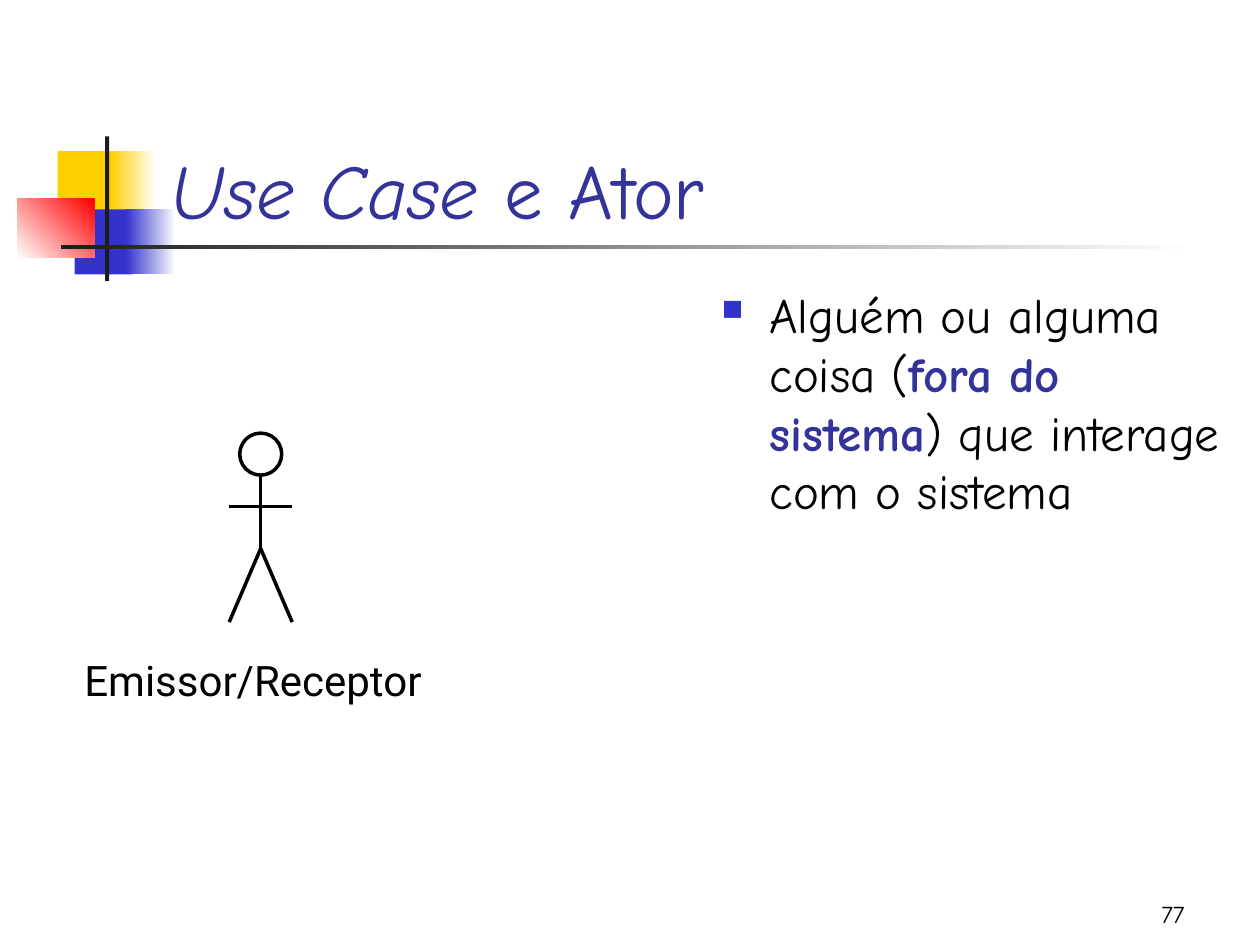
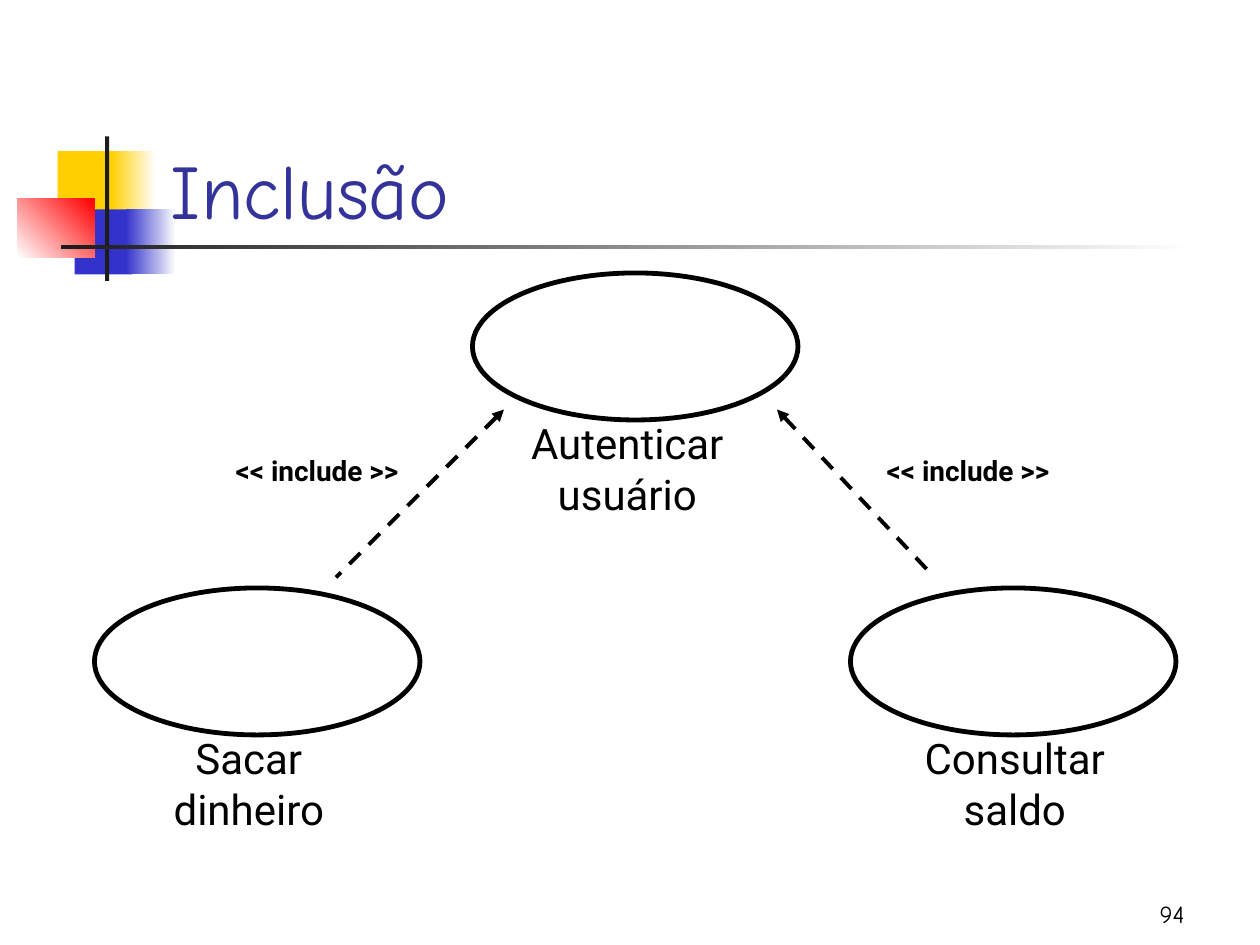
from lxml import etree
from pptx import Presentation, util as u
from pptx.dml.color import RGBColor
from pptx.enum import dml, shapes, text
from pptx.oxml.ns import qn

COLS, ROWS = 120, 90
BLACK, INK, BLUE, NAVY, GOLD, RED, WHITE = (
    "000000", "1C1C1C", "3333CC", "333399", "FFCF01", "FF0000", "FFFFFF")
HAND, SANS = "Comic Neue", "Roboto"
BANDS = [
    (5.5, 14.4, 5.8, 6.2, [GOLD], 0),
    (10.55, 14.4, 4.3, 6.2, [GOLD, WHITE], 0),
    (7.1, 19.95, 5.5, 6.2, [BLUE], 0),
    (12, 19.95, 4.75, 6.2, [BLUE, WHITE], 0),
    (1.65, 18.95, 7.35, 5.55, [WHITE, RED], 45),
    (10, 13, 0.4, 13.75, [INK], 0),
    (5.8, 23.35, 108, 0.4, [INK, WHITE], 0),
]


def paint(code):
    return RGBColor.from_string(code)


def child(node, tag, **attrs):
    return etree.SubElement(node, qn(tag), attrs)


class Deck:
    def __init__(self):
        self.file = Presentation()
        self.file.slide_width = u.Inches(10)
        self.file.slide_height = u.Inches(7.5)

    def place(self, *spots):
        steps = (self.file.slide_width / COLS, self.file.slide_height / ROWS)
        return [round(spot * steps[i % 2]) for i, spot in enumerate(spots)]

    def page(self, title, number):
        self.slide = self.file.slides.add_slide(self.file.slide_layouts[6])
        self.items = self.slide.shapes
        for band in BANDS:
            self.band(*band)
        self.words((89, 83, 25, 6), [[(number, {})]], size=14,
                   align="RIGHT", anchor="BOTTOM")
        self.words((15.1, 8, 102.25, 15), [title], size=44,
                   color=NAVY, anchor="BOTTOM")

    def shape(self, kind, box):
        item = self.items.add_shape(kind, *self.place(*box))
        item.shadow.inherit = False
        return item

    def band(self, x, y, w, h, tones, angle):
        item = self.shape(shapes.MSO_SHAPE.RECTANGLE, (x, y, w, h))
        item.line.fill.background()
        if len(tones) == 1:
            item.fill.solid()
            item.fill.fore_color.rgb = paint(tones[0])
            return
        item.fill.gradient()
        item.fill.gradient_angle = angle
        for stop, tone, spot in zip(item.fill.gradient_stops, tones, (0, 1)):
            stop.color.rgb = paint(tone)
            stop.position = spot

    def oval(self, x, y, w, h, width):
        item = self.shape(shapes.MSO_SHAPE.OVAL, (x, y, w, h))
        item.fill.background()
        item.line.color.rgb = paint(BLACK)
        item.line.width = u.Pt(width)

    def line(self, start, end, width=2, arrow=False):
        item = self.items.add_connector(
            shapes.MSO_CONNECTOR.STRAIGHT, *self.place(*start, *end))
        item.line.color.rgb = paint(BLACK)
        item.line.width = u.Pt(width)
        if arrow:
            item.line.dash_style = dml.MSO_LINE.DASH
            child(item.line._get_or_add_ln(), "a:headEnd", type="triangle")
        child(item._element.spPr, "a:effectLst")

    def words(self, box, paras, size, font=HAND, color=BLACK, align="LEFT",
              anchor="TOP", wrap=True):
        frame = self.items.add_textbox(*self.place(*box)).text_frame
        frame.word_wrap = wrap
        frame.vertical_anchor = text.MSO_ANCHOR[anchor]
        if not wrap:
            frame.auto_size = text.MSO_AUTO_SIZE.SHAPE_TO_FIT_TEXT
        frame.text = "\n".join("" for _ in paras)
        for para, runs in zip(frame.paragraphs, paras):
            para.alignment = text.PP_ALIGN[align]
            for words, style in runs:
                run = para.add_run()
                run.text = words
                run.font.name = font
                run.font.size = u.Pt(size)
                run.font.bold = style.get("bold", False)
                run.font.italic = style.get("italic", False)
                run.font.color.rgb = paint(style.get("color", color))
        return frame

    def label(self, mid, top, w, lines, size=24, bold=False, align="CENTER"):
        paras = [[(line, {"bold": bold})] for line in lines]
        high = len(lines) * size / 5
        self.words((mid - w / 2, top, w, high + 1.2), paras, size, SANS,
                   align=align, wrap=False)

    def bullet(self, box, runs):
        para = self.words(box, [runs], size=28).paragraphs[0]
        para.space_before = u.Pt(7)
        props = para._p.get_or_add_pPr()
        indent = u.Inches(0.38)
        props.set("marL", str(indent))
        props.set("indent", str(-indent))
        child(child(props, "a:buClr"), "a:srgbClr", val=BLUE)
        child(props, "a:buSzPct", val="60000")
        child(props, "a:buChar", char="■")

    def actor(self, mid, top):
        self.items = self.slide.shapes.add_group_shape().shapes
        neck, arms, hip, feet = (top + drop for drop in (4, 7, 11, 18))
        self.oval(mid - 2, top, 4, 4, 2)
        self.line((mid, hip), (mid, neck))
        for side in (-3, 3):
            self.line((mid + side, feet), (mid, hip))
        self.line((mid - 3, arms), (mid + 3, arms))
        self.items = self.slide.shapes

    def case(self, x, y, mid, w, lines):
        self.oval(x, y, 31, 14, 2.75)
        self.label(mid, y + 13.2, w, lines)

    def link(self, start, end, mid):
        self.line(start, end, 2.25, arrow=True)
        self.label(mid, 42.6, 19.6, ["<< include >>"], 16, bold=True)


def main():
    deck = Deck()
    deck.page([("Use Case", {"italic": True}), (" e Ator", {})], "77")
    deck.bullet((67.55, 26.5, 50, 54), [
        ("Alguém ou alguma coisa (", {}),
        ("fora do sistema", {"bold": True, "color": NAVY}),
        (") que interage com o sistema", {})])
    deck.actor(24.83, 41.25)
    deck.label(24.65, 61.7, 35.6, ["Emissor/Receptor"], align="LEFT")

    deck.page([("Inclusão", {})], "94")
    deck.case(9, 56, 23.7, 18.1, ["Sacar", "dinheiro"])
    deck.case(81, 56, 96.65, 20.5, ["Consultar", "saldo"])
    deck.case(45, 26, 59.75, 21.8, ["Autenticar", "usuário"])
    deck.link((48, 39), (32, 55), 30.2)
    deck.link((74, 39), (89, 55), 92.2)
    deck.file.save("out.pptx")


if __name__ == "__main__":
    main()
